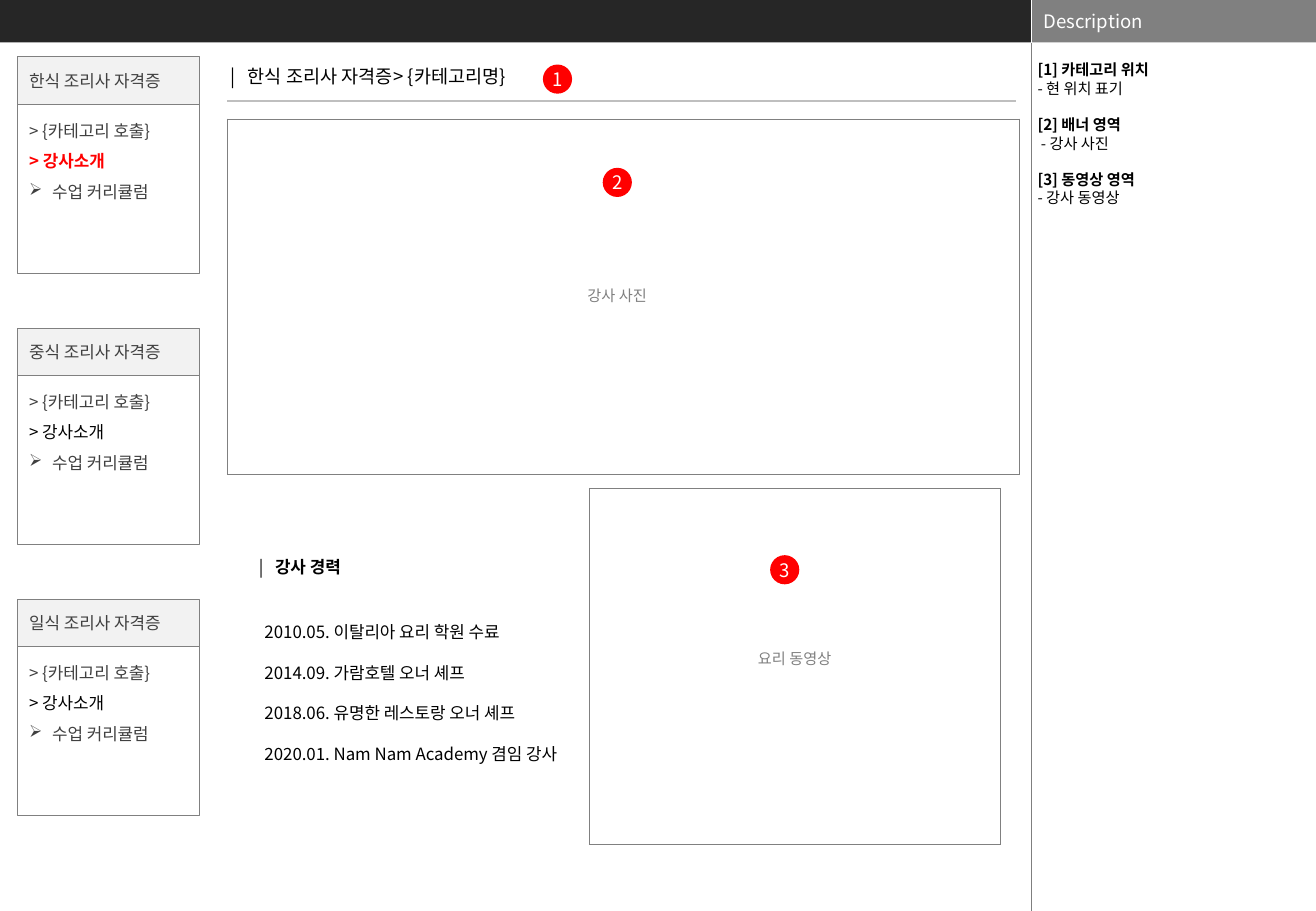
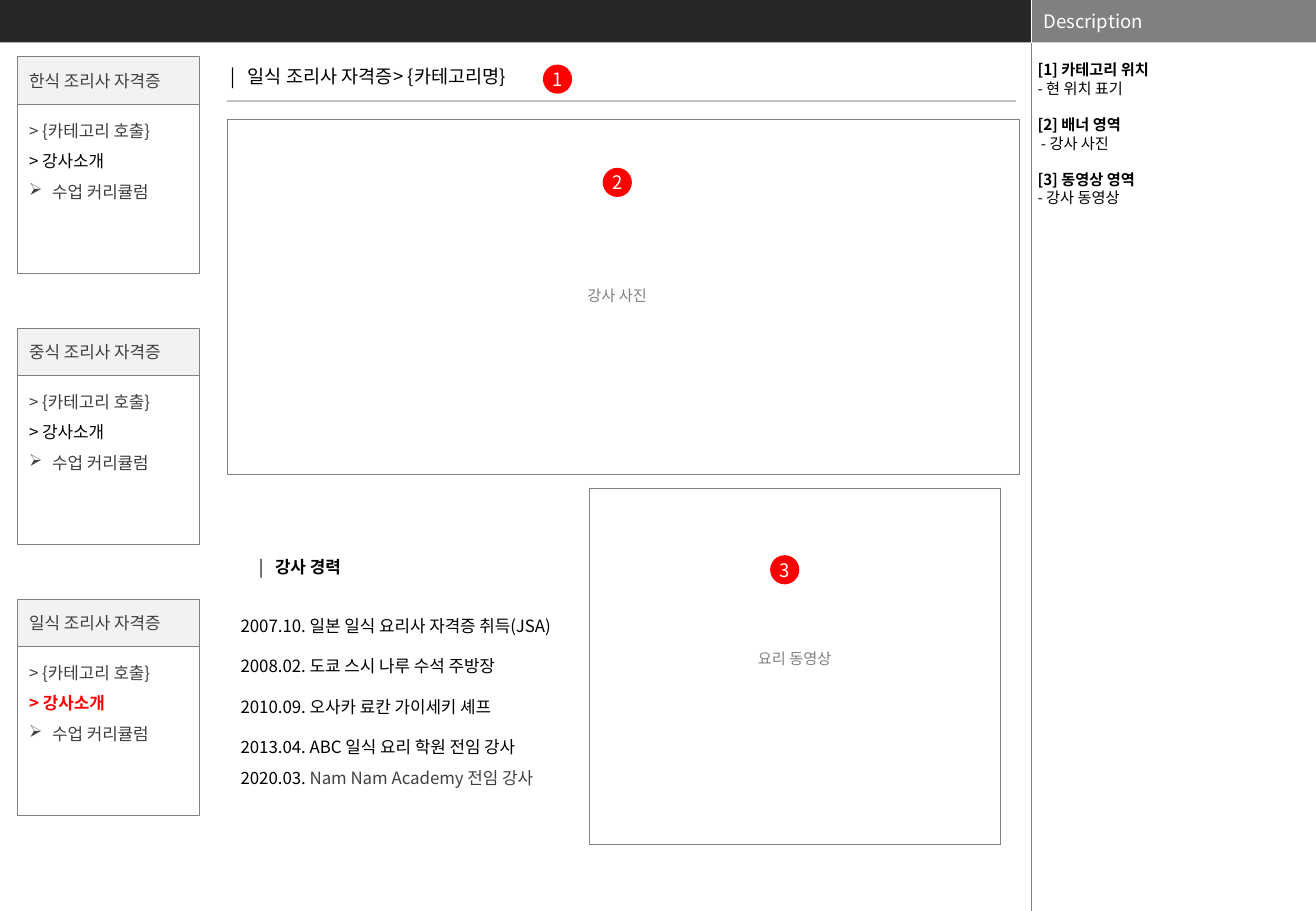
from dataclasses import dataclass

from lxml.etree import SubElement
from pptx import Presentation
from pptx.dml.color import RGBColor as Rgb
from pptx.enum.shapes import MSO_CONNECTOR as Link, MSO_SHAPE as Form
from pptx.enum.text import MSO_ANCHOR as Anchor, MSO_AUTO_SIZE as Fit, PP_ALIGN as Align
from pptx.oxml.ns import qn
from pptx.util import Cm, Pt

FONT = "Noto Sans CJK KR"
HEX = {
    "black": "000000", "white": "FFFFFF", "red": "FF0000", "band": "262626",
    "gray": "808080", "rail": "7F7F7F", "rule": "BFBFBF", "text": "404040", "head": "F2F2F2",
}
WIDE, HIGH = 27.51, 19.05
SPLIT, BAND = 21.56, 0.89
MENU_TOP, MENU_STEP, MENU_HEAD = 1.19, 5.67, 0.99
COURSES = ("한식 조리사 자격증", "중식 조리사 자격증", "일식 조리사 자격증")


@dataclass(frozen=True)
class Box:
    left: float
    top: float
    wide: float
    high: float


@dataclass(frozen=True)
class Piece:
    text: str
    tint: str = "black"
    bold: bool = False


@dataclass(frozen=True)
class Line:
    pieces: tuple[Piece, ...]
    size: float = 10
    space: float = 1
    above: float = 0
    mark: str = ""
    tab: float = 0
    align: Align = Align.LEFT


@dataclass(frozen=True)
class Badge:
    text: str
    left: float
    top: float


@dataclass(frozen=True)
class Frame:
    box: Box
    label: str
    left: float
    top: float


@dataclass(frozen=True)
class Page:
    course: int
    box: Box
    career: tuple[Line, ...]


BADGES = (Badge("1", 11.35, 1.35), Badge("3", 16.1, 11.61), Badge("2", 12.6, 3.51))
FRAMES = (
    Frame(Box(4.75, 2.49, 16.56, 7.44), "강사 사진", 11.73, 5.87),
    Frame(Box(12.32, 10.21, 8.59, 7.44), "요리 동영상", 15.44, 13.46),
)
NOTES = (
    ("[1] 카테고리 위치", "- 현 위치 표기"),
    ("[2] 배너 영역", " - 강사 사진"),
    ("[3] 동영상 영역", "- 강사 동영상"),
)


def plain(text: str, tint: str = "black", **style) -> Line:
    return Line((Piece(text, tint),), **style)


def career(*texts: str) -> tuple[Line, ...]:
    return tuple(plain(text, space=2) for text in texts)


PAGES = (
    Page(0, Box(5.28, 12.45, 13.21, 3.53), career(
        "2010.05. 이탈리아 요리 학원 수료",
        "2014.09. 가람호텔 오너 셰프",
        "2018.06. 유명한 레스토랑 오너 셰프",
        "2020.01. Nam Nam Academy 겸임 강사",
    )),
    Page(2, Box(4.78, 12.32, 13.21, 4.24), career(
        "2007.10. 일본 일식 요리사 자격증 취득(JSA)",
        "2008.02. 도쿄 스시 나루 수석 주방장",
        "2010.09. 오사카 료칸 가이세키 셰프",
        "2013.04. ABC 일식 요리 학원 전임 강사",
    ) + (Line((Piece("2020.03. "), Piece("Nam Nam Academy 전임 강사", "text")), space=1.5),)),
)


def color(name: str) -> Rgb:
    return Rgb.from_string(HEX[name])


def place(box: Box) -> tuple:
    return Cm(box.left), Cm(box.top), Cm(box.wide), Cm(box.high)


def set_line(para, line: Line) -> None:
    para.alignment = line.align
    para.line_spacing = line.space
    para.space_before = Pt(line.above)
    props = para._p.get_or_add_pPr()
    if line.mark:
        props.set("marL", str(Cm(0.48)))
        props.set("indent", str(Cm(-0.48)))
        SubElement(props, qn("a:buChar"), char=line.mark)
    if line.tab:
        tabs = SubElement(props, qn("a:tabLst"))
        SubElement(tabs, qn("a:tab"), pos=str(Cm(line.tab)), algn="l")
    for piece in line.pieces:
        run = para.add_run()
        run.text = piece.text
        run.font.size = Pt(line.size)
        run.font.bold = piece.bold
        run.font.color.rgb = color(piece.tint)
        run.font.name = FONT
        SubElement(run._r.get_or_add_rPr(), qn("a:ea"), typeface=FONT)


def write(shape, lines: tuple[Line, ...], anchor: Anchor = Anchor.TOP) -> None:
    frame = shape.text_frame
    frame.word_wrap = True
    frame.vertical_anchor = anchor
    for spot, line in enumerate(lines):
        set_line(frame.add_paragraph() if spot else frame.paragraphs[0], line)


def add_text(slide, box: Box, lines: tuple[Line, ...], anchor: Anchor = Anchor.TOP, grow: bool = True):
    shape = slide.shapes.add_textbox(*place(box))
    write(shape, lines, anchor)
    if grow:
        shape.text_frame.auto_size = Fit.SHAPE_TO_FIT_TEXT
    return shape


def add_form(slide, form: Form, box: Box, fill: str = "", edge: str = ""):
    shape = slide.shapes.add_shape(form, *place(box))
    shape.shadow.inherit = False
    if fill:
        shape.fill.solid()
        shape.fill.fore_color.rgb = color(fill)
    else:
        shape.fill.background()
    if edge:
        shape.line.color.rgb = color(edge)
        shape.line.width = Pt(0.5)
    else:
        shape.line.fill.background()
    return shape


def add_rule(slide, start: tuple[float, float], end: tuple[float, float], tint: str, width: float) -> None:
    rule = slide.shapes.add_connector(Link.STRAIGHT, *map(Cm, start + end))
    rule.line.color.rgb = color(tint)
    rule.line.width = Pt(width)
    SubElement(rule._element.spPr, qn("a:effectLst"))


def add_base(slide) -> None:
    side = Box(SPLIT, 0, WIDE - SPLIT, BAND)
    add_form(slide, Form.RECTANGLE, Box(0, 0, SPLIT, BAND), "band")
    add_form(slide, Form.RECTANGLE, side, "gray")
    add_rule(slide, (SPLIT, 0), (SPLIT, BAND), "white", 0.25)
    add_rule(slide, (SPLIT, BAND), (SPLIT, HIGH), "rail", 0.25)
    add_text(slide, side, (plain("Description", "white", size=11),), Anchor.MIDDLE, False)


def add_notes(slide) -> None:
    lines = []
    for title, note in NOTES:
        lines.append(Line((Piece(title, bold=True),), size=9, above=10.85 if lines else 0))
        lines.append(plain(note, size=9))
    shape = add_text(slide, Box(21.59, BAND, 5.92, HIGH - BAND), tuple(lines), grow=False)
    frame = shape.text_frame
    frame.margin_left = frame.margin_right = Cm(0.1)
    frame.margin_top, frame.margin_bottom = Cm(0.38), 0


def add_frame(slide, item: Frame) -> None:
    table = slide.shapes.add_table(1, 1, *place(item.box)).table
    table.first_row = table.horz_banding = False
    cell = table.cell(0, 0)
    props = cell._tc.get_or_add_tcPr()
    for side in "LRTB":
        edge = SubElement(props, qn(f"a:ln{side}"), w=str(Pt(0.5)))
        fill = SubElement(edge, qn("a:solidFill"))
        SubElement(fill, qn("a:srgbClr"), val=HEX["gray"])
    cell.fill.background()
    label = add_form(slide, Form.RECTANGLE, Box(item.left, item.top, 2.34, 0.64), "white")
    write(label, (plain(item.label, "gray", size=9, align=Align.CENTER),))


def add_badge(slide, badge: Badge) -> None:
    shape = add_form(slide, Form.OVAL, Box(badge.left, badge.top, 0.61, 0.61), "red")
    write(shape, (plain(badge.text, "white", size=11, align=Align.CENTER),), Anchor.MIDDLE)
    frame = shape.text_frame
    frame.word_wrap = False
    frame.margin_left = frame.margin_right = frame.margin_top = frame.margin_bottom = 0


def add_menu(slide, spot: int, live: bool) -> None:
    top = MENU_TOP + spot * MENU_STEP
    lines = (
        plain("> {카테고리 호출}", "text", space=1.5),
        Line((Piece("> 강사소개", "red" if live else "black", live),), space=1.5),
        plain("수업 커리큘럼", "text", space=1.5, mark="➢"),
    )
    panel = add_form(slide, Form.ROUNDED_RECTANGLE, Box(0.36, top + MENU_HEAD, 3.81, 3.53), edge="gray")
    head = add_form(slide, Form.ROUNDED_RECTANGLE, Box(0.36, top, 3.81, MENU_HEAD), "head", "gray")
    panel.adjustments[0] = head.adjustments[0] = 0
    write(panel, lines)
    write(head, (plain(COURSES[spot], "text"),), Anchor.MIDDLE)


def add_page(deck, page: Page) -> None:
    slide = deck.slides.add_slide(deck.slide_layouts[6])
    add_base(slide)
    add_notes(slide)
    for item in FRAMES:
        add_frame(slide, item)
    crumb = f"|\t{COURSES[page.course]}> {{카테고리명}}"
    add_text(slide, Box(4.57, 1.24, 7.92, 0.74), (plain(crumb, size=11, tab=0.36),))
    add_rule(slide, (4.75, 2.11), (21.23, 2.11), "rule", 0.75)
    for badge in BADGES:
        add_badge(slide, badge)
    for spot in range(len(COURSES)):
        add_menu(slide, spot, spot == page.course)
    title = Line((Piece("|\t"), Piece("강사 경력", bold=True)), space=2, tab=0.34)
    add_text(slide, Box(5.16, 11.1, 13.21, 0.97), (title,))
    add_text(slide, page.box, page.career)


def main() -> None:
    deck = Presentation()
    deck.slide_width, deck.slide_height = Cm(WIDE), Cm(HIGH)
    for page in PAGES:
        add_page(deck, page)
    deck.save("out.pptx")


if __name__ == "__main__":
    main()
